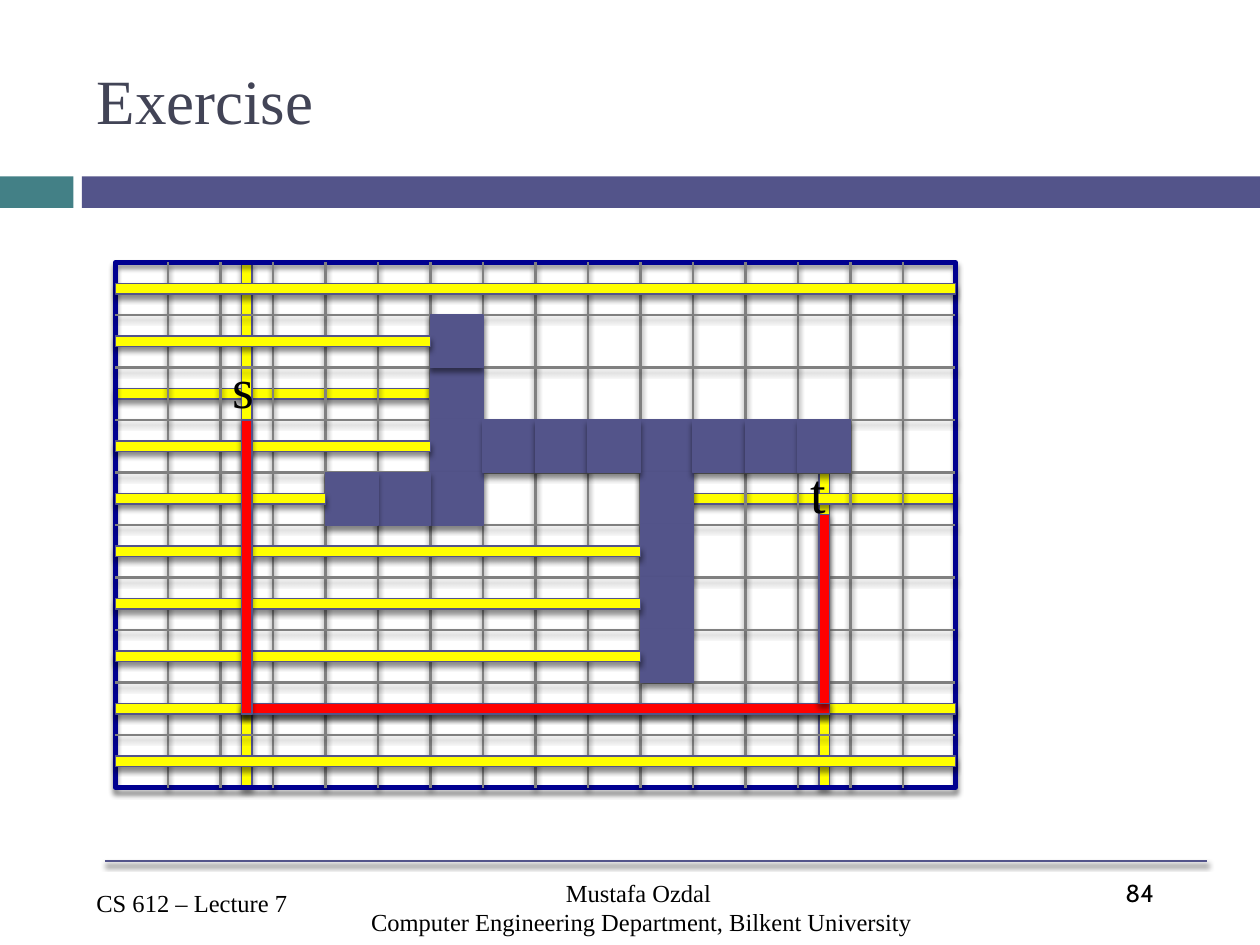
from lxml import etree
from pptx import Presentation
from pptx.dml.color import RGBColor
from pptx.enum.shapes import MSO_CONNECTOR, MSO_SHAPE
from pptx.enum.text import MSO_ANCHOR, MSO_AUTO_SIZE, PP_ALIGN
from pptx.oxml.ns import qn
from pptx.util import Inches, Pt

RECTANGLE, STRAIGHT = MSO_SHAPE.RECTANGLE, MSO_CONNECTOR.STRAIGHT
LEFT, CENTER = PP_ALIGN.LEFT, PP_ALIGN.CENTER
MIDDLE, GROW = MSO_ANCHOR.MIDDLE, MSO_AUTO_SIZE.SHAPE_TO_FIT_TEXT
TOP_SIDE, LEFT_SIDE, BOTTOM_SIDE, RIGHT_SIDE = range(4)

BLACK = RGBColor(0x00, 0x00, 0x00)
INDIGO = RGBColor(0x53, 0x54, 0x8A)
TEAL = RGBColor(0x43, 0x80, 0x86)
SLATE = RGBColor(0x42, 0x44, 0x56)
NAVY = RGBColor(0x00, 0x00, 0x90)
GRAY = RGBColor(0x80, 0x80, 0x80)
YELLOW = RGBColor(0xFF, 0xFF, 0x00)
RED = RGBColor(0xFF, 0x00, 0x00)
SERIF, SANS = "Times New Roman", "Cabin"

# The slide is a grid of 120 columns by 90 rows; a maze cell spans 5 of each.
GRID_COLUMNS, GRID_ROWS = 120, 90
CELL = 5
MAZE_LEFT, MAZE_TOP = 11, 25
MAZE_COLUMNS, MAZE_ROWS = 16, 10
MAZE_WIDTH, MAZE_HEIGHT = MAZE_COLUMNS * CELL, MAZE_ROWS * CELL

OBSTACLES = (
    [(6, row) for row in (2, 3, 4)]
    + [(10, row) for row in range(3, 8)]
    + [(6, 1), (5, 4), (7, 3), (8, 3), (9, 3), (4, 4)]
    + [(column, 3) for column in (11, 12, 13)]
)
# Maze row -> number of cells its probe line crosses from the left edge
PROBE_LENGTHS = {8: 16, 9: 16, 7: 10, 6: 10, 5: 10, 4: 4, 3: 6, 1: 6, 0: 16}


class SlideBuilder:
    def __init__(self, presentation):
        self.column = presentation.slide_width / GRID_COLUMNS
        self.row = presentation.slide_height / GRID_ROWS
        self.slide = presentation.slides.add_slide(presentation.slide_layouts[5])
        self.shapes = self.slide.shapes

    def scale(self, left, top, width, height):
        """Turn grid columns and rows into slide lengths."""
        return (round(left * self.column), round(top * self.row),
                round(width * self.column), round(height * self.row))

    def add_shadow(self, shape):
        properties = shape._element.spPr
        effects = properties.find(qn("a:effectLst"))
        if effects is None:
            effects = etree.SubElement(properties, qn("a:effectLst"))
        shadow = etree.SubElement(
            effects, qn("a:outerShdw"), blurRad=str(Pt(3)), dist=str(Pt(2.4)),
            dir="5400000", rotWithShape="0")
        color = etree.SubElement(shadow, qn("a:srgbClr"), val=str(BLACK))
        etree.SubElement(color, qn("a:alpha"), val="45000")

    def rectangle(self, box, fill=None, outline=INDIGO, weight=0.79):
        """Draw a rectangle; an outlined one also casts a shadow."""
        shape = self.shapes.add_shape(RECTANGLE, *self.scale(*box))
        shape.shadow.inherit = False
        if fill is None:
            shape.fill.background()
        else:
            shape.fill.solid()
            shape.fill.fore_color.rgb = fill
        if outline is None:
            shape.line.fill.background()
        else:
            shape.line.color.rgb = outline
            shape.line.width = Pt(weight)
            self.add_shadow(shape)
        return shape

    def line(self, left, top, right, bottom, color):
        connector = self.shapes.add_connector(
            STRAIGHT, *self.scale(left, top, right, bottom))
        connector.line.color.rgb = color
        connector.line.width = Pt(1.5)
        self.add_shadow(connector)
        return connector

    def format_text(self, frame, text, size, font, color, align):
        frame.text = text
        for paragraph in frame.paragraphs:
            paragraph.alignment = align
            paragraph.font.size = Pt(size)
            paragraph.font.name = font
            paragraph.font.color.rgb = color

    def text(self, box, text, size=14, font=SERIF, align=LEFT, wrap=True, grow=False):
        frame = self.shapes.add_textbox(*self.scale(*box)).text_frame
        frame.word_wrap = wrap
        if grow:
            frame.auto_size = GROW
        self.format_text(frame, text, size, font, BLACK, align)

    def title(self, box, text):
        title = self.shapes.title
        title.left, title.top, title.width, title.height = self.scale(*box)
        title.text_frame.vertical_anchor = MIDDLE
        self.format_text(title.text_frame, text, 36, SERIF, SLATE, LEFT)


def add_frame(builder):
    builder.rectangle((0, 16.8, 7, 3), TEAL, outline=None)
    builder.rectangle((7.8, 16.8, 112.2, 3), INDIGO, outline=None)
    builder.text((106, 83, 9, 6), "84", font=SANS)
    builder.line(10, 82, 115, 82, INDIGO)
    builder.text((8, 84, 22, 4.1), "CS 612 – Lecture 7", grow=True)
    builder.text((20, 83, 82.2, 7),
                 "Mustafa Ozdal \nComputer Engineering Department, Bilkent University",
                 align=CENTER)
    builder.title((8, 3, 107, 13), "Exercise")


def add_maze_grid(builder):
    right, bottom = MAZE_LEFT + MAZE_WIDTH, MAZE_TOP + MAZE_HEIGHT
    border = builder.rectangle(
        (MAZE_LEFT, MAZE_TOP, MAZE_WIDTH, MAZE_HEIGHT), outline=NAVY, weight=3)
    for column in range(1, MAZE_COLUMNS):
        x = MAZE_LEFT + column * CELL
        divider = builder.line(x, MAZE_TOP, x, bottom, GRAY)
        if 2 * column == MAZE_COLUMNS:
            divider.begin_connect(border, TOP_SIDE)
            divider.end_connect(border, BOTTOM_SIDE)
    for row in range(1, MAZE_ROWS):
        y = MAZE_TOP + row * CELL
        divider = builder.line(MAZE_LEFT, y, right, y, GRAY)
        if 2 * row == MAZE_ROWS:
            divider.begin_connect(border, LEFT_SIDE)
            divider.end_connect(border, RIGHT_SIDE)


def main():
    presentation = Presentation()
    presentation.slide_width, presentation.slide_height = Inches(10), Inches(7.5)
    builder = SlideBuilder(presentation)
    add_frame(builder)

    probes_through_terminals = [
        (78, 45, 1, 30), (66, 47, 25, 1), (11, 37, 30, 1), (23, 25, 1, 50)]
    for probe in probes_through_terminals:
        builder.rectangle(probe, YELLOW)

    add_maze_grid(builder)
    builder.text((21, 33, 4.6, 7.7), "s", size=32, wrap=False, grow=True)
    for column, row in OBSTACLES:
        builder.rectangle(
            (MAZE_LEFT + column * CELL, MAZE_TOP + row * CELL, CELL, CELL), INDIGO)
    for row, length in PROBE_LENGTHS.items():
        builder.rectangle(
            (MAZE_LEFT, MAZE_TOP + row * CELL + 2, length * CELL, 1), YELLOW)

    route = [(23, 67, 56, 1), (78, 49, 1, 18), (23, 40, 1, 28)]
    for segment in route:
        builder.rectangle(segment, RED)
    builder.text((76, 43, 4, 7.7), "t", size=32, wrap=False, grow=True)
    presentation.save("out.pptx")


if __name__ == "__main__":
    main()
